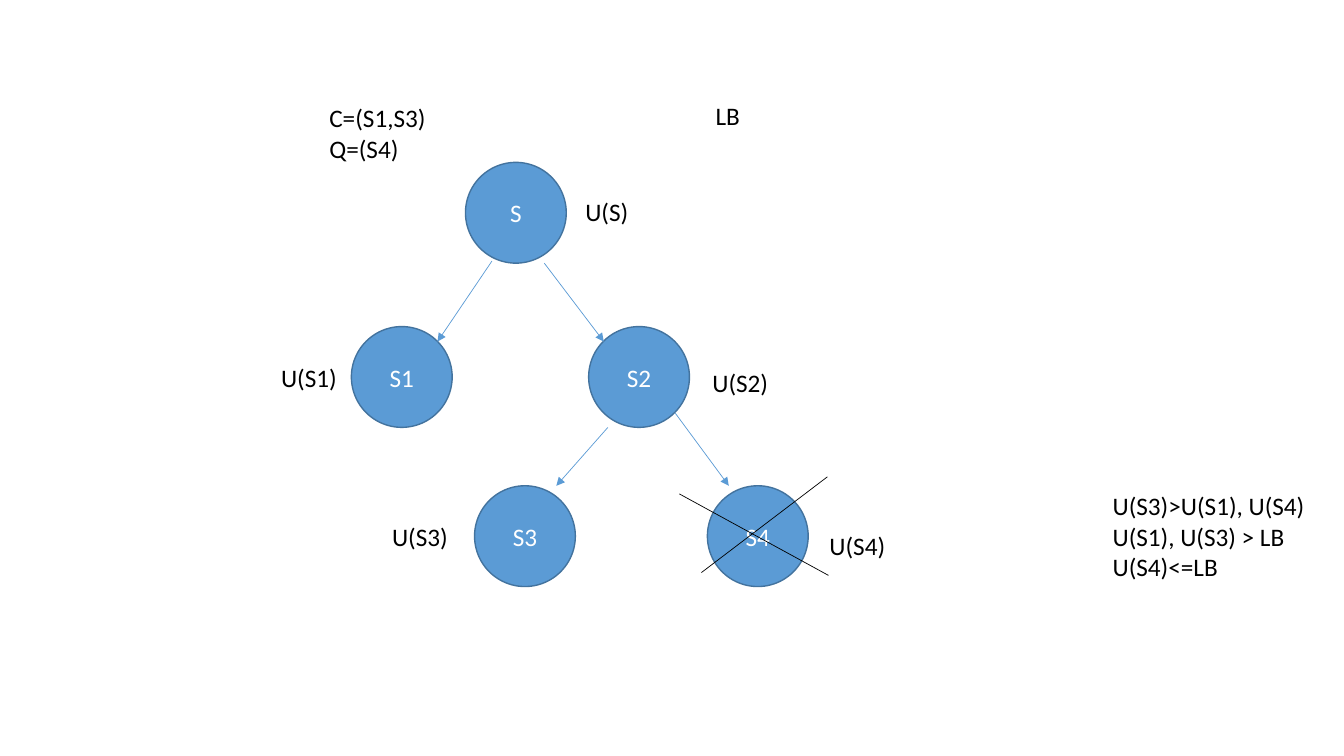
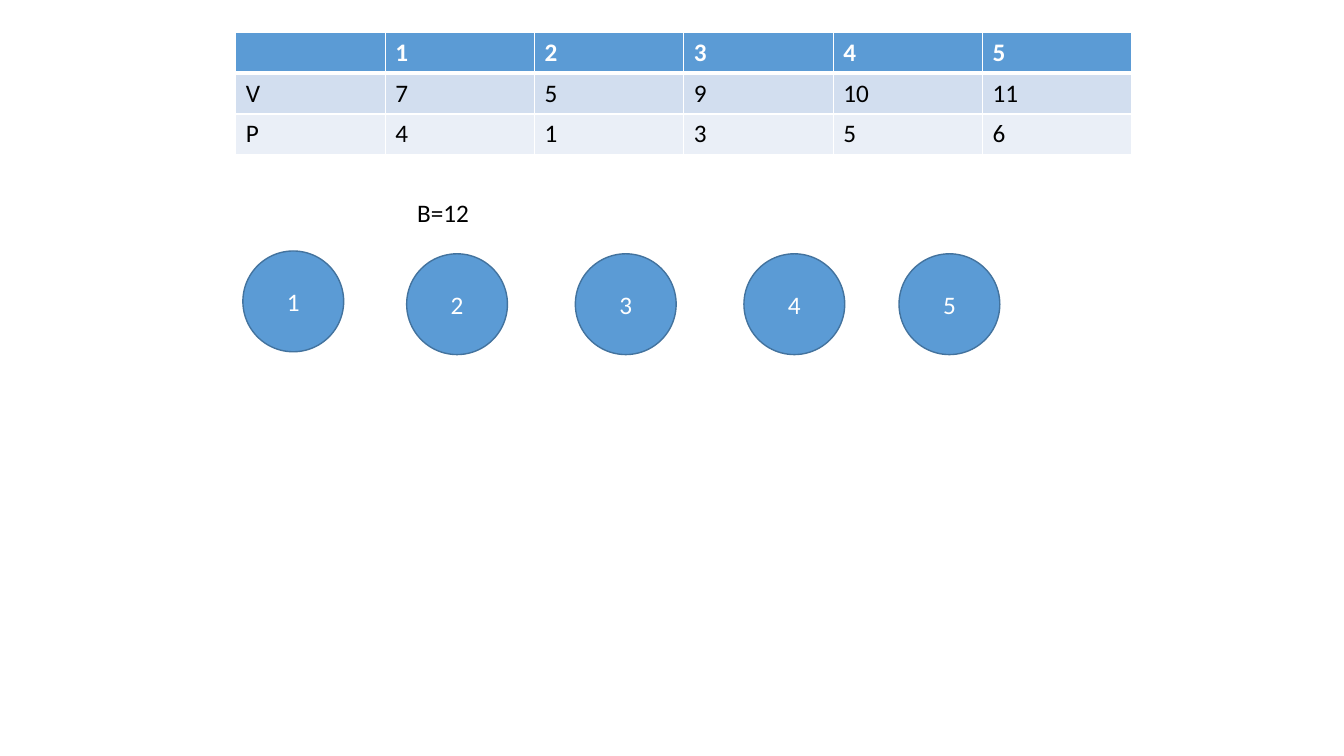
from lxml import etree
from pptx import Presentation
from pptx.dml.color import RGBColor
from pptx.enum.shapes import MSO_CONNECTOR, MSO_SHAPE
from pptx.enum.text import MSO_ANCHOR, MSO_AUTO_SIZE, PP_ALIGN
from pptx.oxml.ns import qn
from pptx.util import Pt

OVAL = MSO_SHAPE.OVAL
LINE = MSO_CONNECTOR.STRAIGHT
FIT = MSO_AUTO_SIZE.SHAPE_TO_FIT_TEXT
LEFT, MID = PP_ALIGN.LEFT, PP_ALIGN.CENTER
CENTER = MSO_ANCHOR.MIDDLE

FONT = "Calibri"
BLACK, WHITE = "000000", "FFFFFF"
BLUE, EDGE = "5B9BD5", "43739E"
BANDS = (BLUE, "D2DEEF", "EAEFF7")
SIZE = 72


def paint(fill, code):
    fill.solid()
    fill.fore_color.rgb = RGBColor.from_string(code)


def write(frame, text, ink=BLACK, bold=False, align=LEFT):
    frame.text = text
    for para in frame.paragraphs:
        para.alignment = align
        for run in para.runs:
            font = run.font
            font.name, font.size, font.bold = FONT, Pt(18), bold
            paint(font.fill, ink)


def label(slide, text, left, top, width):
    height = 7.3 + 21.8 * len(text.split("\n"))
    box = slide.shapes.add_textbox(Pt(left), Pt(top), Pt(width), Pt(height))
    frame = box.text_frame
    frame.word_wrap = False
    frame.auto_size = FIT
    write(frame, text)


def node(slide, text, left, top):
    shape = slide.shapes.add_shape(OVAL, Pt(left), Pt(top), Pt(SIZE), Pt(SIZE))
    shape.shadow.inherit = False
    paint(shape.fill, BLUE)
    paint(shape.line.fill, EDGE)
    shape.line.width = Pt(1)
    shape.text_frame.vertical_anchor = CENTER
    write(shape.text_frame, text, ink=WHITE, align=MID)


def link(slide, ends, ink=BLUE, arrow=True):
    shape = slide.shapes.add_connector(LINE, *(Pt(n) for n in ends))
    paint(shape.line.fill, ink)
    shape.line.width = Pt(0.5)
    props = shape.element.spPr
    if arrow:
        etree.SubElement(props.find(qn("a:ln")), qn("a:tailEnd"), type="triangle")
    etree.SubElement(props, qn("a:effectLst"))


def border(props, widths):
    for spot, (side, width) in enumerate(zip("LRTB", widths)):
        edge = etree.Element(qn(f"a:ln{side}"), w=str(Pt(width)))
        fill = etree.SubElement(edge, qn("a:solidFill"))
        etree.SubElement(fill, qn("a:srgbClr"), val=WHITE)
        props.insert(spot, edge)


def grid(slide, rows, left, top, wide, high):
    count = len(rows[0])
    frame = slide.shapes.add_table(len(rows), count, Pt(left), Pt(top),
                                   Pt(wide * count), Pt(high * len(rows)))
    table = frame.table
    for col in table.columns:
        col.width = Pt(wide)
    for y, (row, band) in enumerate(zip(rows, BANDS)):
        table.rows[y].height = Pt(high)
        head = y == 0
        for x, text in enumerate(row):
            cell = table.cell(y, x)
            write(cell.text_frame, text, ink=WHITE if head else BLACK, bold=head)
            paint(cell.fill, band)
    for spot, props in enumerate(frame.element.iter(qn("a:tcPr"))):
        y = spot // count
        border(props, (1, 1, 3 if y == 1 else 1, 3 if y == 0 else 1))


def tree(slide):
    for item in (("S", 332.5, 116), ("S1", 251, 233.3), ("S2", 420.5, 233.3),
                 ("S3", 339, 347), ("S4", 505.3, 347)):
        node(slide, *item)
    for ends in ((351.4, 186.5, 312.5, 244), (388.8, 188, 431.3, 244),
                 (434.2, 305.3, 397.4, 347), (482.4, 295.2, 520.6, 347)):
        link(slide, ends)
    for ends in ((485.3, 352.8, 591.8, 411), (591, 340.6, 501, 409)):
        link(slide, ends, ink=BLACK, arrow=False)
    for item in (("C=(S1,S3)\nQ=(S4)", 228.2, 69.8, 84.2),
                 ("LB", 504, 68.4, 32.4),
                 ("U(S)", 411, 136.8, 45.4),
                 ("U(S1)", 193.7, 255, 54.7),
                 ("U(S2)", 501.8, 259, 54.7),
                 ("U(S3)", 273, 368.6, 54.7),
                 ("U(S4)", 585.4, 375, 54.7),
                 ("U(S3)>U(S1), U(S4)\nU(S1), U(S3) > LB\nU(S4)<=LB",
                  787.7, 347, 153.4)):
        label(slide, *item)


def items(slide):
    rows = (("", "1", "2", "3", "4", "5"),
            ("V", "7", "5", "9", "10", "11"),
            ("P", "4", "1", "3", "5", "6"))
    grid(slide, rows, 168.5, 23, 106.67, 29.2)
    label(slide, "B=12", 290.9, 137.5, 51.8)
    spots = ((173.5, 179.3), (290.5, 181.3), (411, 181.3),
             (531.4, 181.3), (642.2, 181.3))
    for name, spot in zip(rows[0][1:], spots):
        node(slide, name, *spot)


def main():
    deck = Presentation()
    deck.slide_width, deck.slide_height = Pt(960), Pt(540)
    for draw in (tree, items):
        draw(deck.slides.add_slide(deck.slide_layouts[6]))
    deck.save("out.pptx")


if __name__ == "__main__":
    main()
